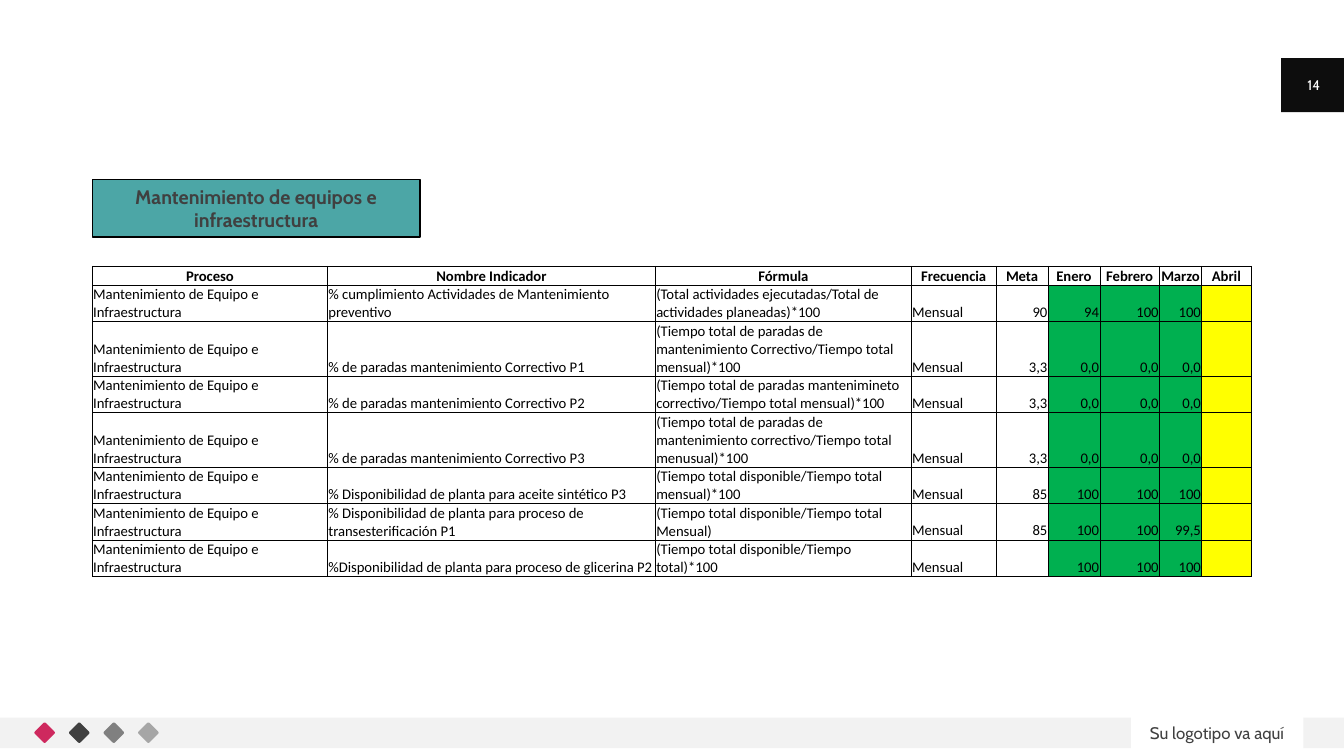
from dataclasses import dataclass

from lxml.etree import SubElement
from pptx import Presentation
from pptx.dml.color import RGBColor
from pptx.enum.shapes import MSO_SHAPE
from pptx.enum.text import MSO_ANCHOR, MSO_AUTO_SIZE, PP_ALIGN
from pptx.oxml.ns import qn
from pptx.util import Pt


@dataclass(frozen=True)
class Theme:
    heading_font: str = "Cabin"
    table_font: str = "Calibri"
    title_size: float = 14
    logo_size: float = 12
    number_size: float = 10
    table_size: float = 10.5
    black: str = "000000"
    white: str = "FFFFFF"
    dark: str = "404040"
    teal: str = "4CA6A6"
    green: str = "00B050"
    yellow: str = "FFFF00"
    bar: str = "F2F2F2"
    number_box: str = "0D0D0D"
    diamonds: tuple = ("CE295E", "404040", "808080", "A6A6A6")


theme = Theme()


def style_text(paragraph, font_name, size, color, alignment, bold=False):
    paragraph.alignment = alignment
    paragraph.font.name = font_name
    paragraph.font.size = Pt(size)
    paragraph.font.bold = bold
    paragraph.font.color.rgb = RGBColor.from_string(color)


def add_block(shapes, kind, left, top, width, height, color):
    shape = shapes.add_shape(kind, Pt(left), Pt(top), Pt(width), Pt(height))
    shape.shadow.inherit = False
    shape.fill.solid()
    shape.fill.fore_color.rgb = RGBColor.from_string(color)
    shape.line.fill.background()
    return shape


presentation = Presentation()
presentation.slide_width = Pt(960)
presentation.slide_height = Pt(540)
slide = presentation.slides.add_slide(presentation.slide_layouts[5])

for left, top, width, height, color in (
    (0, 512.6, 807.8, 21.8, theme.bar),
    (915.1, 41.5, 44.9, 38.6, theme.number_box),
    (931, 512.6, 29, 21.8, theme.bar),
):
    add_block(slide.shapes, MSO_SHAPE.RECTANGLE, left, top, width, height, color)

for index, color in enumerate(theme.diamonds):
    diamond = add_block(
        slide.shapes, MSO_SHAPE.ROUNDED_RECTANGLE, 26.4 + 24.7 * index, 517.9, 11, 11, color
    )
    diamond.adjustments[0] = 0.11
    diamond.rotation = 45

for text, left, top, width, height, size, color in (
    ("Su logotipo va aquí", 807.8, 512.6, 123.2, 21.8, theme.logo_size, theme.dark),
    ("14", 921.6, 46.4, 33.8, 28.8, theme.number_size, theme.white),
):
    label = slide.shapes.add_textbox(Pt(left), Pt(top), Pt(width), Pt(height))
    label.text_frame.word_wrap = True
    label.text_frame.vertical_anchor = MSO_ANCHOR.MIDDLE
    label.text_frame.text = text
    style_text(label.text_frame.paragraphs[0], theme.heading_font, size, color, PP_ALIGN.CENTER)

process = "Mantenimiento de Equipo e Infraestructura"
frequency = "Mensual"
headers = (
    "Proceso", "Nombre Indicador", "Fórmula", "Frecuencia", "Meta",
    "Enero", "Febrero", "Marzo", "Abril",
)
indicators = (
    ("% cumplimiento Actividades de Mantenimiento preventivo",
     "(Total actividades ejecutadas/Total de actividades planeadas)*100",
     "90", "94", "100", "100"),
    ("% de paradas mantenimiento Correctivo P1",
     "(Tiempo total de paradas de mantenimiento Correctivo/Tiempo total mensual)*100",
     "3,3", "0,0", "0,0", "0,0"),
    ("% de paradas mantenimiento Correctivo P2",
     "(Tiempo total de paradas mantenimineto correctivo/Tiempo total mensual)*100",
     "3,3", "0,0", "0,0", "0,0"),
    ("% de paradas mantenimiento Correctivo P3",
     "(Tiempo total de paradas de mantenimiento correctivo/Tiempo total menusual)*100",
     "3,3", "0,0", "0,0", "0,0"),
    ("% Disponibilidad de planta para aceite sintético P3",
     "(Tiempo total disponible/Tiempo total mensual)*100",
     "85", "100", "100", "100"),
    ("% Disponibilidad de planta para proceso de transesterificación P1",
     "(Tiempo total disponible/Tiempo total Mensual)",
     "85", "100", "100", "99,5"),
    ("%Disponibilidad de planta para proceso de glicerina P2",
     "(Tiempo total disponible/Tiempo total)*100",
     "", "100", "100", "100"),
)
rows = [headers]
for name, formula, *values in indicators:
    rows.append((process, name, formula, frequency, *values, ""))

column_widths = (168, 234.2, 182.8, 60.5, 37.3, 36.9, 42.6, 30.2, 35.3)
row_heights = (13.5, 26, 39, 26, 39, 26, 26, 26)
column_fills = (theme.white,) * 5 + (theme.green,) * 3 + (theme.yellow,)

table = slide.shapes.add_table(
    len(rows), len(headers), Pt(66), Pt(190.2), Pt(sum(column_widths)), Pt(sum(row_heights))
).table
table.first_row = False
table.horz_banding = False
for column, width in zip(table.columns, column_widths):
    column.width = Pt(width)

for row_index, (row, height) in enumerate(zip(rows, row_heights)):
    table.rows[row_index].height = Pt(height)
    is_header = row_index == 0
    for column_index, text in enumerate(row):
        cell = table.cell(row_index, column_index)
        cell.margin_left = cell.margin_right = cell.margin_top = Pt(0.6)
        cell.margin_bottom = 0
        cell.vertical_anchor = MSO_ANCHOR.MIDDLE if is_header else MSO_ANCHOR.BOTTOM
        if is_header:
            alignment = PP_ALIGN.CENTER
        else:
            alignment = PP_ALIGN.RIGHT if column_index >= 4 else PP_ALIGN.LEFT
        cell.text = text
        style_text(
            cell.text_frame.paragraphs[0], theme.table_font, theme.table_size,
            theme.black, alignment, is_header,
        )
        properties = cell._tc.get_or_add_tcPr()
        for side in ("a:lnL", "a:lnR", "a:lnT", "a:lnB"):
            border = SubElement(properties, qn(side), w=str(Pt(0.5)))
            border_fill = SubElement(border, qn("a:solidFill"))
            SubElement(border_fill, qn("a:srgbClr"), val=theme.black)
        cell.fill.solid()
        cell_color = theme.white if is_header else column_fills[column_index]
        cell.fill.fore_color.rgb = RGBColor.from_string(cell_color)

title = slide.shapes.title
title.left, title.top, title.width, title.height = Pt(66), Pt(128.2), Pt(234), Pt(41)
title.fill.solid()
title.fill.fore_color.rgb = RGBColor.from_string(theme.teal)
title.line.color.rgb = RGBColor.from_string(theme.black)
title.line.width = Pt(1)
title.text_frame.text = "Mantenimiento de equipos e infraestructura"
title.text_frame.word_wrap = True
title.text_frame.auto_size = MSO_AUTO_SIZE.NONE
title.text_frame.vertical_anchor = MSO_ANCHOR.TOP
style_text(
    title.text_frame.paragraphs[0], theme.heading_font, theme.title_size,
    theme.dark, PP_ALIGN.CENTER, True,
)

presentation.save("out.pptx")
